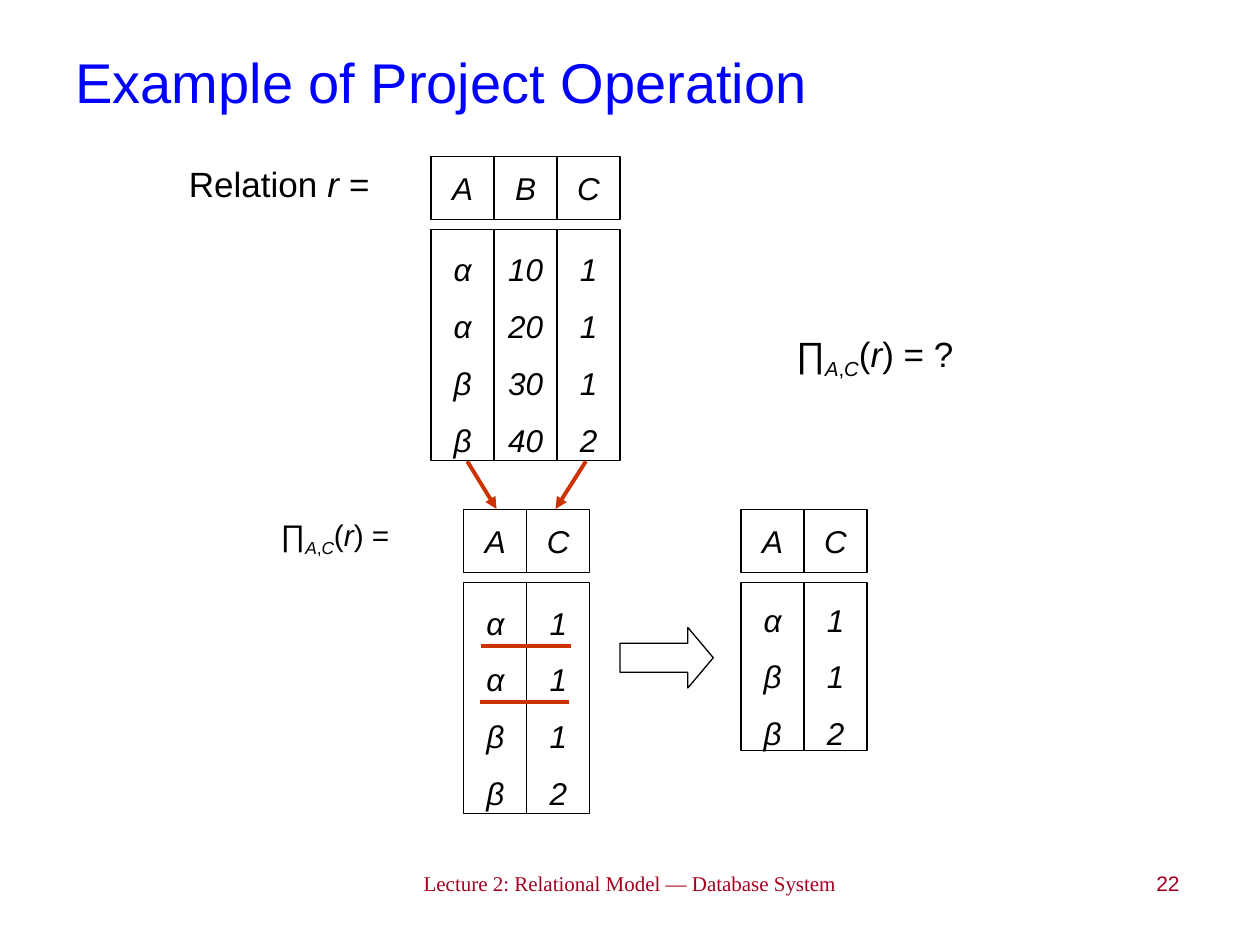
from typing import NamedTuple, Optional

from lxml import etree
from pptx import Presentation
from pptx import util as u
from pptx.dml.color import RGBColor
from pptx.enum import shapes, text
from pptx.oxml.ns import qn

BLACK, WHITE, BLUE, CRIMSON, RUST = "000000", "FFFFFF", "0000FF", "A50021", "CC3300"
CELL = 1.27  # side of a header cell, also the height of one body row
BODY_OFFSET = 1.48  # from header top to body top
BODY_TRIM = 0.43  # body columns are this much shorter than their rows


class Span(NamedTuple):
    text: str
    italic: bool = False
    subscript: bool = False


class Relation(NamedTuple):
    left: float
    top: float
    columns: dict[str, list[str]]


class Stroke(NamedTuple):
    start: tuple[float, float]
    end: tuple[float, float]
    arrow: bool = False


def color(value: str) -> RGBColor:
    return RGBColor.from_string(value)


def write(box, lines: list[list[Span]], *, size: float, ink: str = BLACK,
          font: str = "Arial", align=text.PP_ALIGN.LEFT, anchor=text.MSO_ANCHOR.TOP,
          spacing: Optional[float] = None, before: float = 0, wrap: bool = True) -> None:
    """Fill a box with paragraphs, each given as a list of spans."""
    frame = box.text_frame
    frame.word_wrap = wrap
    frame.vertical_anchor = anchor
    for number, spans in enumerate(lines):
        para = frame.add_paragraph() if number else frame.paragraphs[0]
        para.alignment = align
        para.space_before = u.Pt(before)
        if spacing:
            para.line_spacing = spacing
        for span in spans:
            run = para.add_run()
            run.text = span.text
            run.font.name = font
            run.font.size = u.Pt(size)
            run.font.italic = span.italic
            run.font.color.rgb = color(ink)
            if span.subscript:
                run.font._element.set("baseline", "-25000")


def add_text(page, left: float, top: float, width: float, height: float,
             spans: list[Span], **form) -> None:
    box = page.shapes.add_textbox(u.Cm(left), u.Cm(top), u.Cm(width), u.Cm(height))
    write(box, [spans], **form)


def add_outline(page, kind, left: float, top: float, width: float, height: float):
    shape = page.shapes.add_shape(kind, u.Cm(left), u.Cm(top), u.Cm(width), u.Cm(height))
    shape.shadow.inherit = False
    shape.fill.solid()
    shape.fill.fore_color.rgb = color(WHITE)
    shape.line.color.rgb = color(BLACK)
    shape.line.width = u.Pt(0.75)
    return shape


def add_cell(page, left: float, top: float, height: float, values: list[str],
             spacing: Optional[float] = None) -> None:
    box = add_outline(page, shapes.MSO_SHAPE.RECTANGLE, left, top, CELL, height)
    write(box, [[Span(value, italic=True)] for value in values], size=18,
          align=text.PP_ALIGN.CENTER, anchor=text.MSO_ANCHOR.MIDDLE,
          spacing=spacing, wrap=False)


def add_relation(page, relation: Relation) -> None:
    """Draw a header cell and a tall value cell for each column."""
    for index, (name, values) in enumerate(relation.columns.items()):
        left = relation.left + index * CELL
        add_cell(page, left, relation.top, CELL, [name])
        add_cell(page, left, relation.top + BODY_OFFSET,
                 len(values) * CELL - BODY_TRIM, values, spacing=1.5)


def add_stroke(page, stroke: Stroke) -> None:
    ends = [u.Cm(value) for value in stroke.start + stroke.end]
    line = page.shapes.add_connector(shapes.MSO_CONNECTOR.STRAIGHT, *ends)
    line.line.color.rgb = color(RUST)
    line.line.width = u.Pt(2.25)
    if stroke.arrow:
        etree.SubElement(line.line._get_or_add_ln(), qn("a:tailEnd"), type="triangle")
    etree.SubElement(line._element.spPr, qn("a:effectLst"))


def projection(ending: str) -> list[Span]:
    return [Span("∏"), Span("A", True, True), Span(",", False, True),
            Span("C", True, True), Span("("), Span("r", True), Span(ending)]


RELATIONS = [
    Relation(8.69, 3.15, {"A": ["α", "α", "β", "β"],
                          "B": ["10", "20", "30", "40"],
                          "C": ["1", "1", "1", "2"]}),
    Relation(14.94, 10.27, {"A": ["α", "β", "β"], "C": ["1", "1", "2"]}),
    Relation(9.35, 10.27, {"A": ["α", "α", "β", "β"], "C": ["1", "1", "1", "2"]}),
]

STROKES = [
    # Kept columns
    Stroke((9.42, 9.3), (10.01, 10.26), arrow=True),
    Stroke((11.81, 9.3), (11.2, 10.26), arrow=True),
    # Duplicate rows
    Stroke((9.7, 13.03), (11.51, 13.03)),
    Stroke((9.68, 14.15), (11.48, 14.15)),
]


def main() -> None:
    deck = Presentation()
    deck.slide_width, deck.slide_height = u.Cm(25.4), u.Cm(19.05)
    page = deck.slides.add_slide(deck.slide_layouts[6])

    # Footer and page number
    add_text(page, 5.87, 17.42, 13.77, 1.14,
             [Span("Lecture 2: Relational Model — Database System ")], size=12,
             ink=CRIMSON, font="Times New Roman", align=text.PP_ALIGN.CENTER)
    add_text(page, 20.42, 17.42, 3.61, 1.12, [Span("22")], size=12,
             ink=CRIMSON, align=text.PP_ALIGN.RIGHT)

    # Title and labels
    add_text(page, 1.27, 0.05, 22.86, 3.18, [Span("Example of Project Operation")],
             size=32, ink=BLUE, anchor=text.MSO_ANCHOR.MIDDLE)
    add_text(page, 3.56, 3.25, 4.57, 1.12, [Span("Relation"), Span(" r =", True)],
             size=20, spacing=0.9, before=5)
    add_text(page, 5.41, 10.31, 3.45, 1.14, projection(") ="), size=17, spacing=0.9)
    add_text(page, 15.8, 6.58, 4.11, 1.22, projection(") = ?"), size=20, before=12.5)

    # Relations, with marks over them
    for relation in RELATIONS:
        add_relation(page, relation)
    for stroke in STROKES:
        add_stroke(page, stroke)

    # Step to the result without duplicates
    arrow = add_outline(page, shapes.MSO_SHAPE.RIGHT_ARROW, 12.5, 12.65, 1.88, 1.22)
    arrow.adjustments[0], arrow.adjustments[1] = 0.48, 0.42

    deck.save("out.pptx")


if __name__ == "__main__":
    main()
